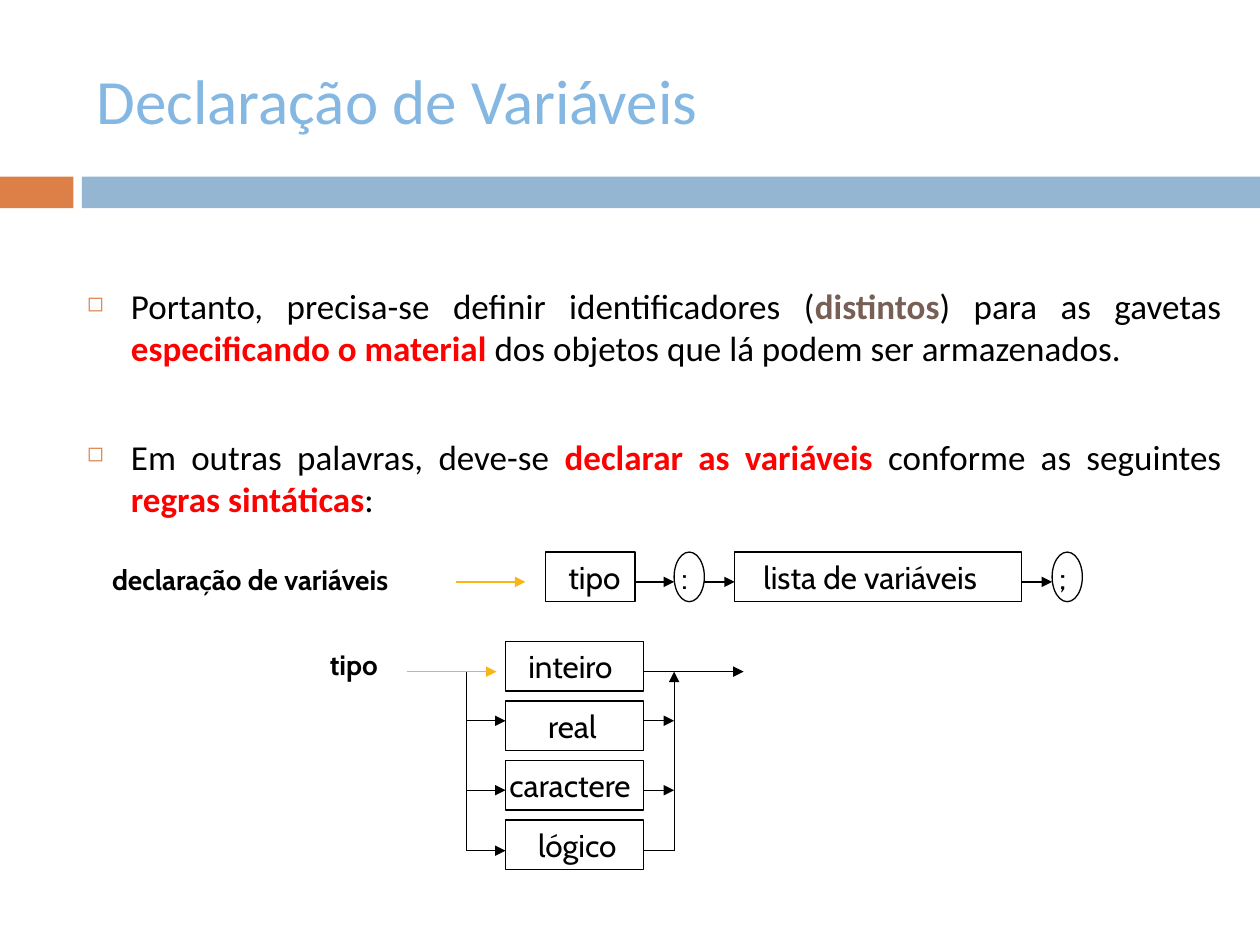
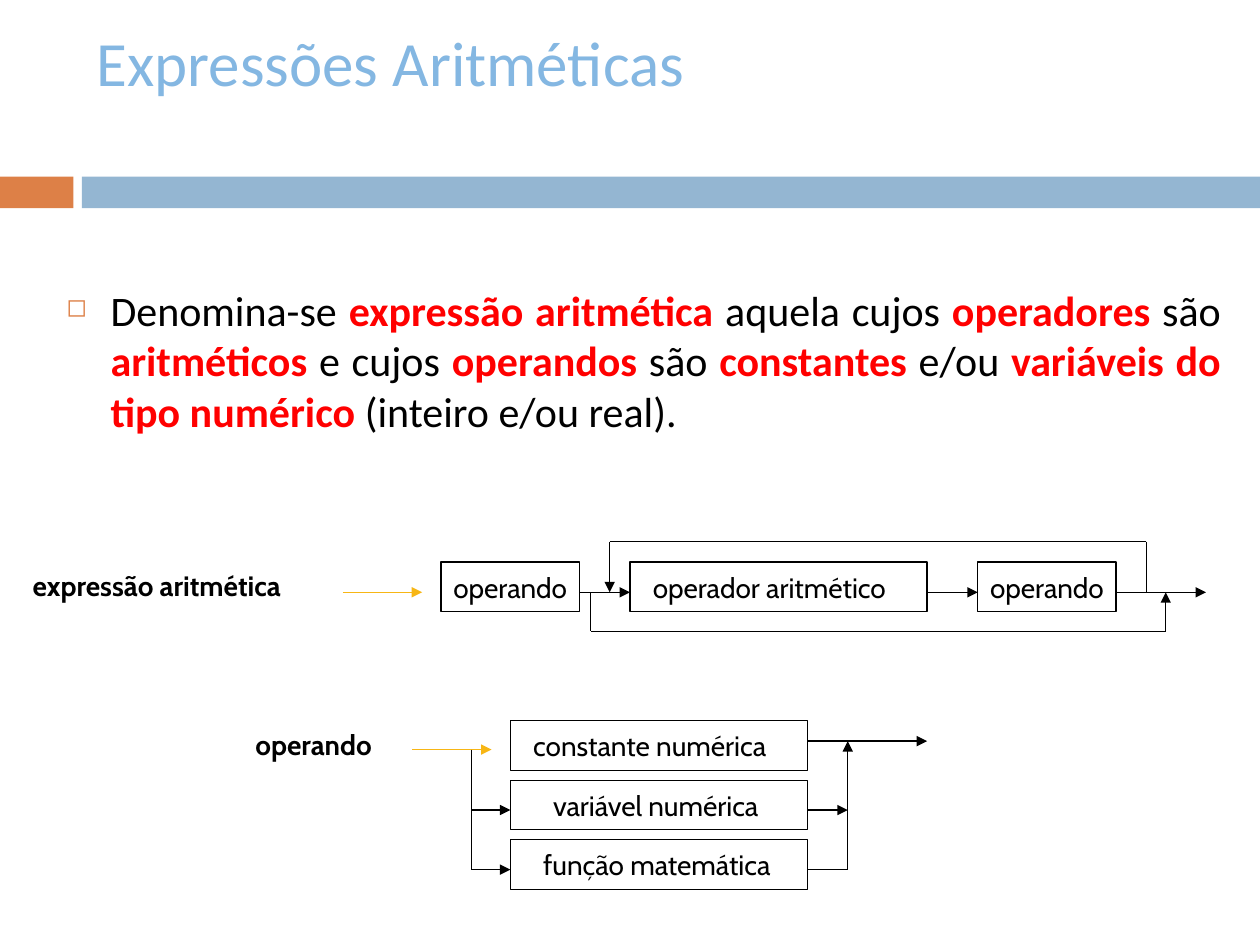
"""Build two slides with syntax diagrams for variable declarations and arithmetic expressions."""
from lxml import etree
from pptx import Presentation, util as u
from pptx.dml.color import RGBColor
from pptx.enum import shapes, text
from pptx.oxml.ns import qn

COLORS = {
    "orange": "DD8047", "blue": "94B6D2", "title": "84B7E2", "black": "000000",
    "white": "FFFFFF", "red": "FF0000", "brown": "775F55", "yellow": "F7B615",
}
RECT, OVAL = shapes.MSO_SHAPE.RECTANGLE, shapes.MSO_SHAPE.OVAL
BANDS = [("orange", 0, 1.48), ("blue", 1.65, 23.75)]
NODE_HEIGHT = 1
OPTION_STEP = 1.2

SLIDES = [
    {
        "title": ("Declaração de Variáveis", 0.64, 2.74),
        "body": (1.5, 23.37, 5.92, 20),
        "paragraphs": [
            [("Portanto, precisa-se definir identificadores (", "black"), ("distintos", "brown"),
             (") para as gavetas ", "black"), ("especificando o material ", "red"),
             ("dos objetos que lá podem ser armazenados.", "black")],
            [("Em outras palavras, deve-se ", "black"), ("declarar as variáveis ", "red"),
             ("conforme as seguintes ", "black"), ("regras sintáticas", "red"), (":", "black")],
        ],
        "node_size": 18,
        "labels": [("declaração de variáveis", 2.01, 11.2, 7.59), ("tipo", 6.4, 12.93, 2.01)],
        "row_top": 11.13,
        "row": [("tipo", RECT, 11, 1.8, 0.46), (":", OVAL, 13.59, 0.61, 0.06),
                ("lista de variáveis", RECT, 14.81, 5.79, 0.58), (";", OVAL, 21.21, 0.61, 0.06)],
        "options_at": (10.19, 12.93, 2.79),
        "options": [("inteiro", 0.46), ("real", 0.86), ("caractere", 0.08), ("lógico", 0.66)],
        "entries": [(9.19, 11.73, 10.59, 11.73), (8.2, 13.54, 10.01, 13.54)],
        "arrows": [(12.8, 11.73, 13.59, 11.73), (14.2, 11.73, 14.81, 11.73),
                   (20.6, 11.73, 21.21, 11.73), (12.98, 13.54, 14.99, 13.54)],
        "lines": [],
        "trunks": (9.4, 13.59),
        "trunk_tops": (13.54, 13.54),
        "branches": [14.53, 15.93, 17.15],
    },
    {
        "title": ("Expressões Aritméticas", 0.33, 1.8),
        "body": (1.09, 23.77, 4.52, 24),
        "paragraphs": [
            [("Denomina-se ", "black"), ("expressão aritmética ", "red"), ("aquela cujos ", "black"),
             ("operadores", "red"), (" são ", "black"), ("aritméticos", "red"),
             (" e cujos ", "black"), ("operandos", "red"), (" são ", "black"),
             ("constantes", "red"), (" e/ou ", "black"), ("variáveis do tipo numérico ", "red"),
             ("(inteiro e/ou real).", "black")],
        ],
        "node_size": 16,
        "labels": [("expressão aritmética", 0.41, 11.33, 6.91), ("operando", 4.9, 14.53, 3.51)],
        "row_top": 11.33,
        "row": [("operando", RECT, 8.89, 2.79, 0.25), ("operador aritmético", RECT, 12.7, 5.99, 0.46),
                ("operando", RECT, 19.71, 2.79, 0.25)],
        "options_at": (10.29, 14.53, 5.99),
        "options": [("constante numérica", 0.46), ("variável numérica", 0.86),
                    ("função matemática", 0.66)],
        "entries": [(6.91, 11.94, 8.51, 11.94), (8.31, 15.11, 9.91, 15.11)],
        "arrows": [(11.69, 11.94, 12.7, 11.94), (18.69, 11.94, 19.71, 11.94),
                   (22.5, 11.94, 24.31, 11.94), (12.29, 10.92, 12.29, 11.94),
                   (23.5, 12.73, 23.5, 11.94), (16.28, 14.94, 18.69, 14.94)],
        "lines": [(23.11, 11.94, 23.11, 10.92), (23.11, 10.92, 12.29, 10.92),
                  (11.91, 11.94, 11.91, 12.73), (11.91, 12.73, 23.5, 12.73)],
        "trunks": (9.5, 17.09),
        "trunk_tops": (15.11, 14.94),
        "branches": [16.33, 17.53],
    },
]


def add_box(page, kind, left, top, width, height, fill=None, line=None):
    """Add a preset shape, or a text box when kind is None, and return it."""
    area = [u.Cm(value) for value in (left, top, width, height)]
    if kind is None:
        box = page.shapes.add_textbox(*area)
    else:
        box = page.shapes.add_shape(kind, *area)
        box.shadow.inherit = False
        box.fill.solid()
        box.fill.fore_color.rgb = RGBColor.from_string(COLORS[fill])
        if line:
            box.line.color.rgb = RGBColor.from_string(COLORS[line])
            box.line.width = u.Pt(0.75)
        else:
            box.line.fill.background()
    box.text_frame.word_wrap = True
    return box


def set_text(box, words, font, size, color="black", bold=False):
    """Write one left-aligned, vertically centred paragraph."""
    box.text_frame.vertical_anchor = text.MSO_ANCHOR.MIDDLE
    para = box.text_frame.paragraphs[0]
    para.text = words
    para.alignment = text.PP_ALIGN.LEFT
    para.font.name, para.font.size, para.font.bold = font, u.Pt(size), bold
    para.font.color.rgb = RGBColor.from_string(COLORS[color])


deck = Presentation()
deck.slide_width, deck.slide_height = u.Cm(25.4), u.Cm(19.05)

for content in SLIDES:
    page = deck.slides.add_slide(deck.slide_layouts[6])
    for color, left, width in BANDS:
        add_box(page, RECT, left, 3.56, width, 0.64, color)

    words, top, height = content["title"]
    set_text(add_box(page, None, 1.7, top, 22.66, height), words, "Calibri", 36, "title")

    left, width, height, size = content["body"]
    frame = add_box(page, None, left, 5.61, width, height).text_frame
    for index, spans in enumerate(content["paragraphs"]):
        para = frame.add_paragraph() if index else frame.paragraphs[0]
        para.alignment = text.PP_ALIGN.JUSTIFY
        if index:
            para.space_before = u.Pt(38)
        properties = para._p.get_or_add_pPr()
        properties.set("marL", str(u.Cm(0.89)))
        properties.set("indent", str(u.Cm(-0.89)))
        bullet_color = etree.SubElement(properties, qn("a:buClr"))
        etree.SubElement(bullet_color, qn("a:srgbClr"), val=COLORS["orange"])
        etree.SubElement(properties, qn("a:buSzPct"), val="60000")
        etree.SubElement(properties, qn("a:buChar"), char="◻")
        para.font.name, para.font.size = "Calibri", u.Pt(size)
        for words, color in spans:
            span = para.add_run()
            span.text = words
            span.font.bold = color != "black"
            span.font.color.rgb = RGBColor.from_string(COLORS[color])

    for words, left, top, width in content["labels"]:
        set_text(add_box(page, None, left, top, width, 0.94), words, "Cabin", 16, bold=True)

    nodes = [(words, kind, left, content["row_top"], width, inset)
             for words, kind, left, width, inset in content["row"]]
    left, top, width = content["options_at"]
    nodes += [(words, RECT, left, top + index * OPTION_STEP, width, inset)
              for index, (words, inset) in enumerate(content["options"])]
    for words, kind, node_left, node_top, node_width, inset in nodes:
        node = add_box(page, kind, node_left, node_top, node_width, NODE_HEIGHT, "white", "black")
        node.text_frame.margin_left, node.text_frame.margin_right = u.Cm(inset), 0
        set_text(node, words, "Cabin", content["node_size"])

    split, merge = content["trunks"]
    split_top, merge_top = content["trunk_tops"]
    branches = content["branches"]
    bottom = branches[-1]
    right = left + width
    arrows = content["arrows"] + [(split, y, left, y) for y in branches]
    arrows += [(right, y, merge, y) for y in branches[:-1]]
    arrows.append((merge, bottom, merge, merge_top))
    lines = content["lines"] + [(split, split_top, split, bottom), (right, bottom, merge, bottom)]
    for group, color, has_head in ((content["entries"], "yellow", True),
                                   (arrows, "black", True), (lines, "black", False)):
        for ends in group:
            link = page.shapes.add_connector(shapes.MSO_CONNECTOR.STRAIGHT, *map(u.Cm, ends))
            link.line.color.rgb = RGBColor.from_string(COLORS[color])
            link.line.width = u.Pt(0.75)
            if has_head:
                etree.SubElement(link.line._get_or_add_ln(), qn("a:tailEnd"), type="triangle")
            etree.SubElement(link._element.spPr, qn("a:effectLst"))

deck.save("out.pptx")
